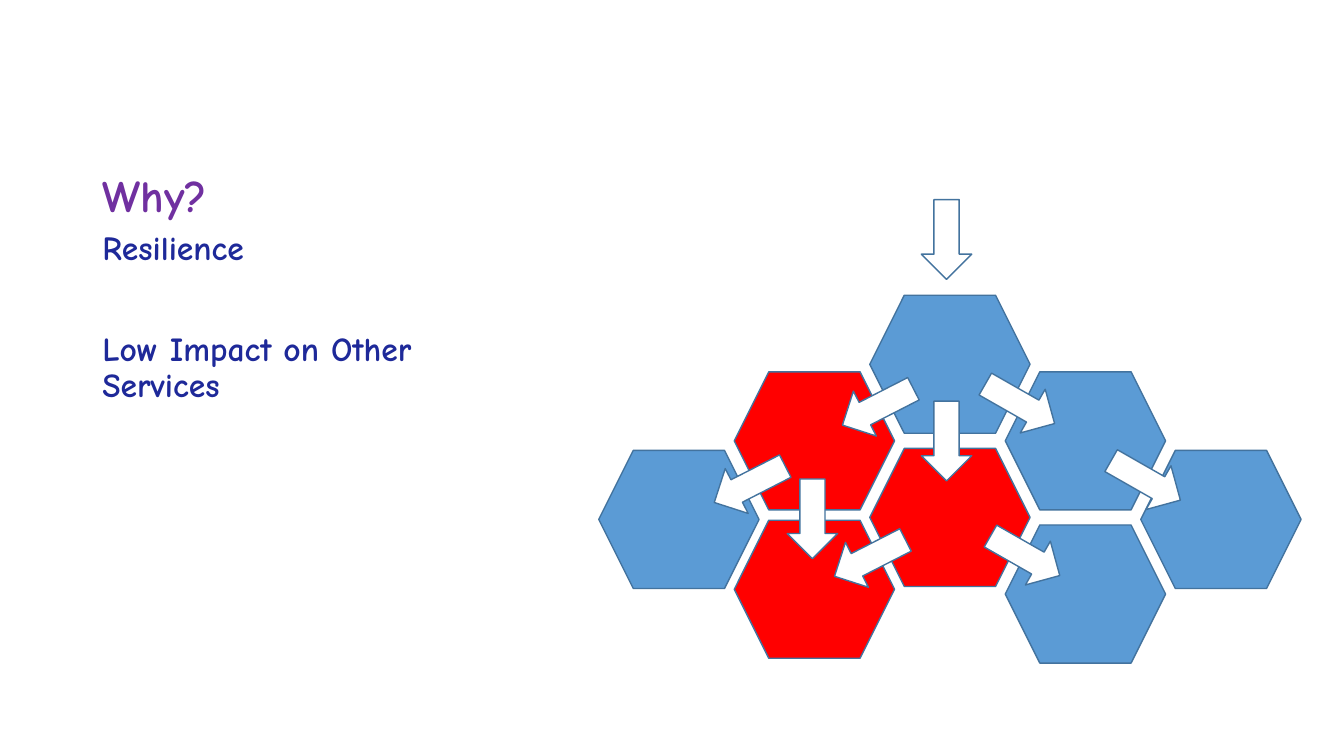
import pptx
import pptx.util
import pptx.dml.color
import pptx.enum.shapes
import pptx.enum.text

Cm, Pt = pptx.util.Cm, pptx.util.Pt
RGBColor = pptx.dml.color.RGBColor
MSO_SHAPE = pptx.enum.shapes.MSO_SHAPE
MSO_ANCHOR = pptx.enum.text.MSO_ANCHOR

FONT = "Comic Neue"
PURPLE = RGBColor(0x70, 0x30, 0xA0)
NAVY = RGBColor(0x1E, 0x29, 0x99)
BLUE = RGBColor(0x5B, 0x9B, 0xD5)
RED = RGBColor(0xFF, 0x00, 0x00)
WHITE = RGBColor(0xFF, 0xFF, 0xFF)
OUTLINE = RGBColor(0x43, 0x73, 0x9E)

TITLE = "Why?"
REASONS = ["Resilience", "Low Impact on Other Services"]

# Services: column in the honeycomb, top in cm, colour (red marks a failure)
SERVICES = [
    (2, 7.44, BLUE),
    (1, 9.37, RED),
    (2, 11.3, RED),
    (1, 13.11, RED),
    (3, 9.37, BLUE),
    (3, 13.23, BLUE),
    (4, 11.35, BLUE),
    (0, 11.35, BLUE),
]
# Calls between services: left and top in cm, by direction
DOWN, DOWN_LEFT, DOWN_RIGHT = 0, 62.9, 299.7
CALLS = {
    DOWN: [(23.22, 5.03), (23.22, 10.11), (19.84, 12.07)],
    DOWN_LEFT: [(21.49, 9.25), (18.26, 11.2), (21.29, 13.06)],
    DOWN_RIGHT: [(25.07, 9.17), (28.24, 11.1), (25.2, 13)],
}

TEXT_LEFT, TEXT_WIDTH = 2.33, 10.92
COMB_LEFT, COLUMN_PITCH = 15.09, 3.415
SERVICE_SIZE = (4.04, 3.48)
CALL_SIZE = (1.27, 2.01)


def format_paragraph(paragraph, size, color):
    paragraph.alignment = pptx.enum.text.PP_ALIGN.LEFT
    paragraph.line_spacing = 0.9
    font = paragraph.runs[0].font
    font.name, font.size, font.bold = FONT, Pt(size), True
    font.color.rgb = color


def add_outlined(slide, preset, left, top, size, fill):
    shape = slide.shapes.add_shape(
        preset, Cm(left), Cm(top), Cm(size[0]), Cm(size[1]))
    shape.shadow.inherit = False
    shape.fill.solid()
    shape.fill.fore_color.rgb = fill
    shape.line.color.rgb = OUTLINE
    shape.line.width = Pt(1)
    return shape


def main():
    deck = pptx.Presentation()
    deck.slide_width, deck.slide_height = Cm(33.87), Cm(19.05)
    slide = deck.slides.add_slide(deck.slide_layouts[5])

    title = slide.shapes.title
    title.left, title.top = Cm(TEXT_LEFT), Cm(1.27)
    title.width, title.height = Cm(TEXT_WIDTH), Cm(4.45)
    title.text_frame.text = TITLE
    title.text_frame.auto_size = pptx.enum.text.MSO_AUTO_SIZE.NONE
    title.text_frame.vertical_anchor = MSO_ANCHOR.BOTTOM
    format_paragraph(title.text_frame.paragraphs[0], 32, PURPLE)

    reasons = slide.shapes.add_textbox(
        Cm(TEXT_LEFT), Cm(5.72), Cm(TEXT_WIDTH), Cm(10.59)).text_frame
    reasons.word_wrap = True
    reasons.text = "\n".join(REASONS)
    for index, paragraph in enumerate(reasons.paragraphs):
        format_paragraph(paragraph, 24, NAVY)
        if index:
            paragraph.space_before = Pt(46)

    for column, top, fill in SERVICES:
        left = COMB_LEFT + column * COLUMN_PITCH
        add_outlined(slide, MSO_SHAPE.HEXAGON, left, top, SERVICE_SIZE, fill)

    for direction, places in CALLS.items():
        for left, top in places:
            call = add_outlined(
                slide, MSO_SHAPE.DOWN_ARROW, left, top, CALL_SIZE, WHITE)
            call.rotation = direction

    deck.save("out.pptx")


if __name__ == "__main__":
    main()
